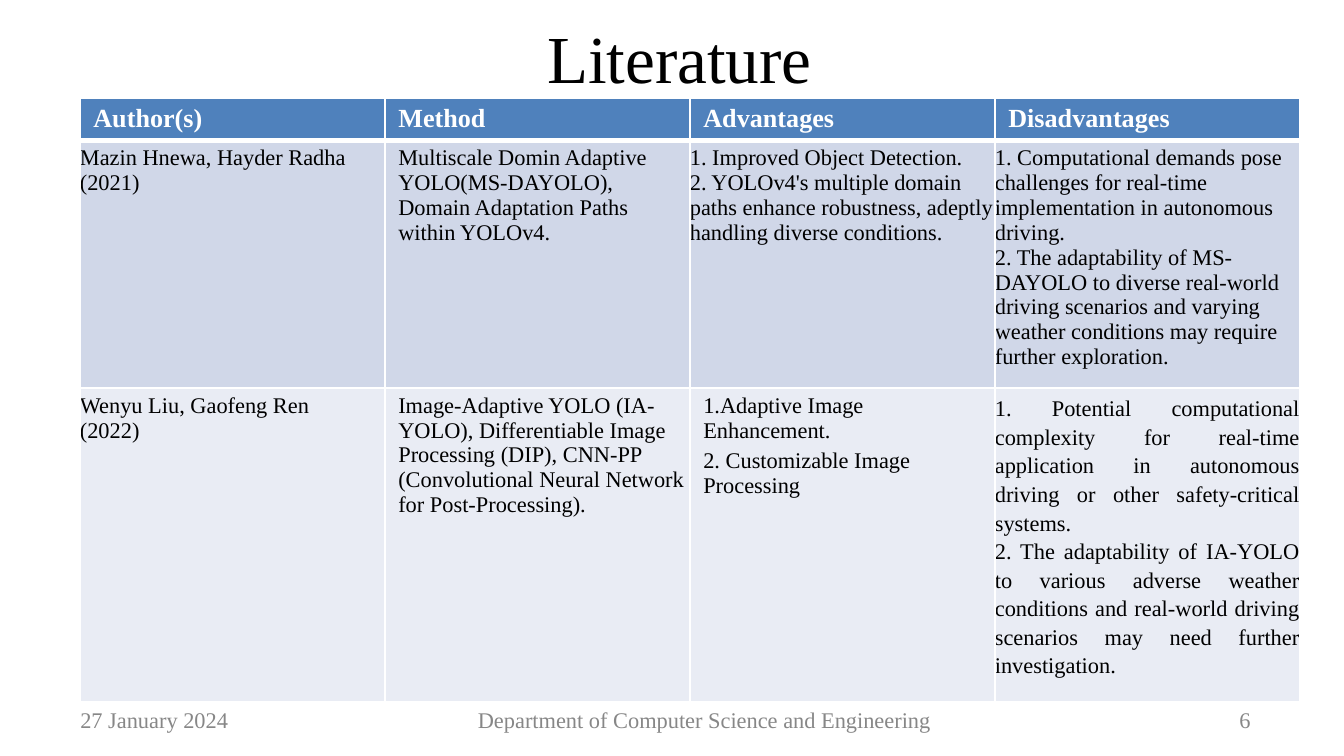
import pptx
import pptx.util
import pptx.dml.color
import pptx.enum.text
import pptx.oxml
import pptx.oxml.ns

Pt = pptx.util.Pt
ALIGN = pptx.enum.text.PP_ALIGN
FONT = "Times New Roman"
INDENT = 7.2

HEADINGS = ["Author(s)", "Method", "Advantages", "Disadvantages"]
PAPERS = [
    [
        ["Mazin Hnewa, Hayder Radha", "(2021)"],
        ["Multiscale Domin Adaptive YOLO(MS-DAYOLO), Domain Adaptation Paths within YOLOv4."],
        ["1. Improved Object Detection.",
         "2. YOLOv4's multiple domain paths enhance robustness, adeptly handling diverse conditions."],
        ["1. Computational demands pose challenges for real-time implementation in autonomous driving.",
         "2. The adaptability of MS-DAYOLO to diverse real-world driving scenarios and varying "
         "weather conditions may require further exploration."],
    ],
    [
        ["Wenyu Liu, Gaofeng Ren", "(2022)"],
        ["Image-Adaptive YOLO (IA-YOLO), Differentiable Image Processing (DIP), CNN-PP "
         "(Convolutional Neural Network for Post-Processing)."],
        ["1.Adaptive Image Enhancement.", "2. Customizable Image Processing"],
        ["1. Potential computational complexity for real-time application in autonomous driving "
         "or other safety-critical systems.",
         "2. The adaptability of IA-YOLO to various adverse weather conditions and real-world "
         "driving scenarios may need further investigation."],
    ],
]
INDENTED = {(0, 1), (1, 1), (1, 2)}
JUSTIFIED = {(1, 3)}
BAND_FILLS = ["D0D7E8", "E9ECF4"]


def color(value):
    """Turn a hex string into a colour."""
    return pptx.dml.color.RGBColor.from_string(value)


def write(frame, *paragraphs, size=12, fill="000000", bold=False, align=ALIGN.LEFT,
          before=0, line=None):
    """Write paragraphs in one format into a text frame."""
    frame.word_wrap = True
    for index, text in enumerate(paragraphs):
        paragraph = frame.add_paragraph() if index else frame.paragraphs[0]
        paragraph.alignment = align
        paragraph.space_before = Pt(before)
        if line:
            paragraph.line_spacing = line
        run = paragraph.add_run()
        run.text = text
        run.font.name = FONT
        run.font.size = Pt(size)
        run.font.bold = bold
        run.font.color.rgb = color(fill)


def set_margins(holder, left=0, top=0):
    """Set the inner margins of a cell or text frame."""
    holder.margin_left, holder.margin_top = Pt(left), Pt(top)
    holder.margin_right = holder.margin_bottom = 0


def add_box(slide, left, top, width, height, inset=(0, 0)):
    """Add a text box and return its text frame."""
    frame = slide.shapes.add_textbox(Pt(left), Pt(top), Pt(width), Pt(height)).text_frame
    set_margins(frame, *inset)
    return frame


def add_title(slide, left, top, width, height):
    """Place the slide title."""
    frame = add_box(slide, left, top, width, height, inset=(139.7, 8.6))
    write(frame, "Literature", size=36, before=1)


def add_footer(slide, left, top, width, height):
    """Place the date, department and page number along one line."""
    parts = [(0, 120, "27 January 2024"),
             (213, 245, "Department of Computer Science and Engineering"),
             (width - 16.5, 16.5, "6")]
    for offset, part_width, text in parts:
        frame = add_box(slide, left + offset, top, part_width, height)
        write(frame, text, fill="878787", line=Pt(14.1))


def set_borders(cell, top=1, bottom=1):
    """Draw white borders around a cell."""
    properties = cell._tc.get_or_add_tcPr()
    widths = [("lnL", 1), ("lnR", 1), ("lnT", top), ("lnB", bottom)]
    for position, (side, width) in enumerate(widths):
        properties.insert(position, pptx.oxml.parse_xml(
            f'<a:{side} {pptx.oxml.ns.nsdecls("a")} w="{Pt(width)}">'
            f'<a:solidFill><a:srgbClr val="FFFFFF"/></a:solidFill></a:{side}>'))


def style_cell(cell, fill, indent=0, **borders):
    """Give a cell its margins, fill and borders."""
    set_margins(cell, indent, 2.9)
    cell.fill.solid()
    cell.fill.fore_color.rgb = color(fill)
    set_borders(cell, **borders)


def add_literature_table(slide, left, top, width, height):
    """Place the table that compares the papers."""
    table = slide.shapes.add_table(
        len(PAPERS) + 1, len(HEADINGS), Pt(left), Pt(top), Pt(width), Pt(height)).table
    for column in table.columns:
        column.width = Pt(width / len(HEADINGS))
    for row, share in zip(table.rows, [0.07, 0.41, 0.52]):
        row.height = Pt(height * share)

    for column, heading in enumerate(HEADINGS):
        cell = table.cell(0, column)
        style_cell(cell, "4F81BC", INDENT, bottom=3)
        write(cell.text_frame, heading, size=14, fill="FFFFFF", bold=True, before=2.8)

    for row, paper in enumerate(PAPERS):
        for column, paragraphs in enumerate(paper):
            cell = table.cell(row + 1, column)
            indented = (row, column) in INDENTED
            justified = (row, column) in JUSTIFIED
            style_cell(cell, BAND_FILLS[row], INDENT if indented else 0,
                       top=1 if row else 3)
            write(cell.text_frame, *paragraphs, before=2.9 if indented else 0,
                  align=ALIGN.JUSTIFY if justified else ALIGN.LEFT,
                  line=1.15 if justified else None)


def main():
    """Build the literature slide."""
    deck = pptx.Presentation()
    deck.slide_width, deck.slide_height = Pt(720), Pt(405)
    slide = deck.slides.add_slide(deck.slide_layouts[6])
    add_title(slide, 153.4, 0, 374.4, 52.6)
    add_footer(slide, 43, 378.7, 637.5, 15.1)
    add_literature_table(slide, 42.8, 52.7, 653.6, 322.2)
    deck.save("out.pptx")


if __name__ == "__main__":
    main()
